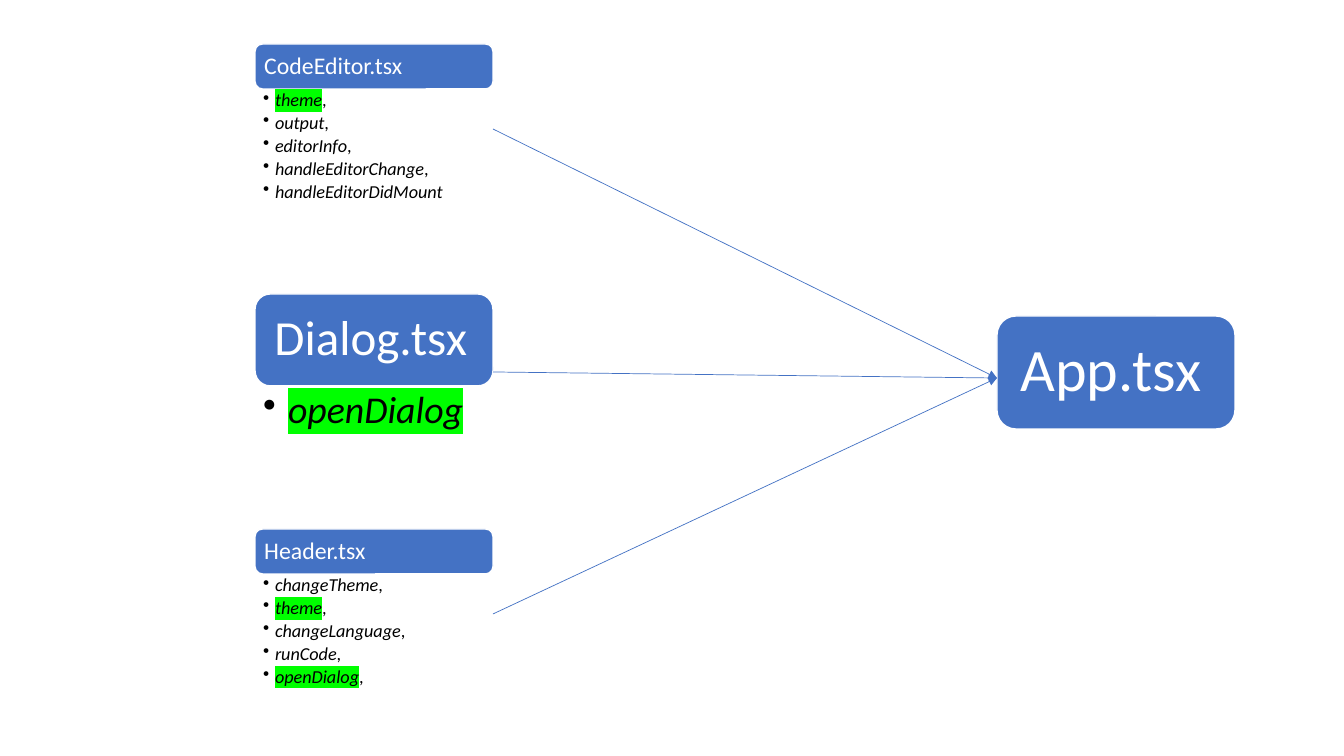
"""Build a slide showing three component files feeding App.tsx."""
from lxml import etree
from pptx import Presentation
from pptx.dml.color import RGBColor
from pptx.enum.shapes import MSO_CONNECTOR, MSO_SHAPE
from pptx.enum.text import MSO_ANCHOR, PP_ALIGN
from pptx.oxml.ns import qn
from pptx.util import Pt

ROUNDED = MSO_SHAPE.ROUNDED_RECTANGLE
STRAIGHT = MSO_CONNECTOR.STRAIGHT
MIDDLE, TOP, LEFT = MSO_ANCHOR.MIDDLE, MSO_ANCHOR.TOP, PP_ALIGN.LEFT
SCALE = 914400 / 100.8
COLORS = {"blue": "4472C4", "white": "FFFFFF", "black": "000000", "green": "00FF00"}
BOX_WIDTH, FILES_LEFT, APP_LEFT = 238, 255, 997
APP_MIDDLE = 378
HIGHLIGHTED = {"theme", "openDialog"}


def px(*lengths):
    return [round(length * SCALE) for length in lengths]


def prepare_text(text_frame, paragraph, insets, anchor, size, color):
    text_frame.word_wrap = True
    text_frame.vertical_anchor = anchor
    (text_frame.margin_left, text_frame.margin_top,
     text_frame.margin_right, text_frame.margin_bottom) = px(*insets)
    paragraph.alignment = LEFT
    paragraph.line_spacing = 0.9
    paragraph.font.name = "Calibri"
    paragraph.font.size = Pt(size)
    paragraph.font.color.rgb = RGBColor.from_string(COLORS[color])


presentation = Presentation()
presentation.slide_width, presentation.slide_height = px(1344, 756)
slide = presentation.slides.add_slide(presentation.slide_layouts[6])

headings = [
    ("App.tsx", APP_LEFT, 316, 113, 43, 18),
    ("Dialog.tsx", FILES_LEFT, 294, 92, 35, 15),
    ("CodeEditor.tsx", FILES_LEFT, 44, 45, 17, 7),
    ("Header.tsx", FILES_LEFT, 529, 45, 17, 7),
]
for name, left, top, height, size, inset in headings:
    box = slide.shapes.add_shape(ROUNDED, *px(left, top, BOX_WIDTH, height))
    box.shadow.inherit = False
    box.fill.solid()
    box.fill.fore_color.rgb = RGBColor.from_string(COLORS["blue"])
    box.line.color.rgb = RGBColor.from_string(COLORS["white"])
    box.line.width = Pt(1)
    paragraph = box.text_frame.paragraphs[0]
    paragraph.text = name
    prepare_text(box.text_frame, paragraph, [inset] * 4, MIDDLE, size, "white")

prop_lists = [
    (386, 64, 27, 25, (8, 5, 27, 5), ["openDialog"]),
    (89, 124, 13, 12, (8, 2, 13, 2),
     ["theme,", "output,", "editorInfo,", "handleEditorChange,", "handleEditorDidMount"]),
    (574, 124, 13, 12, (8, 2, 13, 2),
     ["changeTheme,", "theme,", "changeLanguage,", "runCode,", "openDialog,"]),
]
for top, height, size, indent, insets, props in prop_lists:
    text_box = slide.shapes.add_textbox(*px(FILES_LEFT, top, BOX_WIDTH, height))
    text_frame = text_box.text_frame
    for index, prop in enumerate(props):
        paragraph = text_frame.add_paragraph() if index else text_frame.paragraphs[0]
        prepare_text(text_frame, paragraph, insets, TOP, size, "black")
        paragraph.space_after = Pt(2.3)
        properties = paragraph.font._element.getparent()
        properties.set("marL", str(px(indent)[0]))
        properties.set("indent", str(px(-indent)[0]))
        bullet = etree.Element(qn("a:buChar"), char="•")
        paragraph.font._element.addprevious(bullet)
        prop_name = prop.rstrip(",")
        run = paragraph.add_run()
        run.text = prop_name
        run.font.italic = True
        if prop_name in HIGHLIGHTED:
            highlight = etree.SubElement(run.font._element, qn("a:highlight"))
            etree.SubElement(highlight, qn("a:srgbClr"), val=COLORS["green"])
        if prop != prop_name:
            paragraph.add_run().text = ","

for start in (129, 372, 614):
    arrow = slide.shapes.add_connector(
        STRAIGHT, *px(FILES_LEFT + BOX_WIDTH, start, APP_LEFT, APP_MIDDLE))
    arrow.line.color.rgb = RGBColor.from_string(COLORS["blue"])
    arrow.line.width = Pt(0.5)
    etree.SubElement(arrow.line._ln, qn("a:tailEnd"), type="triangle")
    etree.SubElement(arrow._element.spPr, qn("a:effectLst"))

presentation.save("out.pptx")
